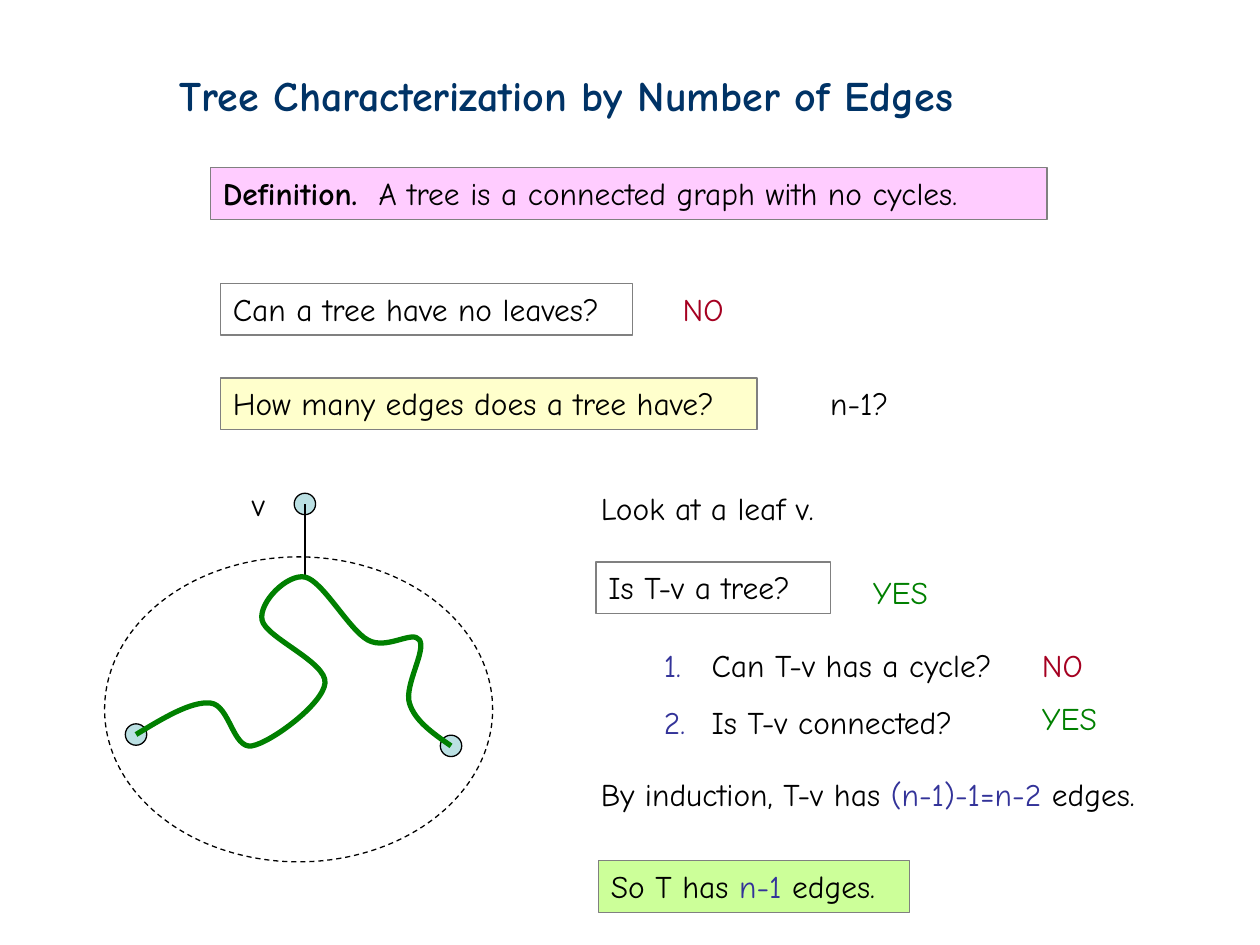
import lxml.etree
import pptx
import pptx.dml.color
import pptx.enum.dml
import pptx.enum.shapes
import pptx.enum.text
import pptx.oxml.ns
import pptx.util

Inches = pptx.util.Inches
Pt = pptx.util.Pt
qn = pptx.oxml.ns.qn
SHAPES = pptx.enum.shapes.MSO_SHAPE

COLORS = {
    "ink": "000000", "title": "003366", "frame": "808080", "pink": "FFCCFF",
    "yellow": "FFFFCC", "lime": "CCFF99", "node": "BBE0E3", "no": "A50021",
    "yes": "008000", "accent": "333399",
}
BODY = {"name": "Comic Neue", "size": Pt(18), "bold": False}
TITLE = {**BODY, "size": Pt(24), "bold": True}
FRAME = {
    "word_wrap": True,
    "auto_size": pptx.enum.text.MSO_AUTO_SIZE.NONE,
    "vertical_anchor": pptx.enum.text.MSO_ANCHOR.TOP,
}
TEXT_HEIGHT = 0.4
PANEL_HEIGHT = 0.41
NODE_SIZE = 0.17
LIST_INDENT = Inches(0.38)

LEAF = (1.59, -0.42)
NEIGHBOUR = (1.59, 0.16)
LEFT_END = (0.25, 1.41)
RIGHT_END = (2.75, 1.5)
TREE_PATH = [
    LEFT_END, (0.84, 1.16), (1.17, 1.5), (1.75, 1), (1.25, 0.5),
    NEIGHBOUR, (2.09, 0.66), (2.5, 0.66), (2.42, 1.16), RIGHT_END,
]


def color(name):
    return pptx.dml.color.RGBColor.from_string(COLORS[name])


def set_values(target, values):
    for key, value in values.items():
        setattr(target, key, value)


def style_shape(shape, fill, line, width=0.75):
    shape.shadow.inherit = False
    if fill:
        shape.fill.solid()
        shape.fill.fore_color.rgb = color(fill)
    else:
        shape.fill.background()
    shape.line.color.rgb = color(line)
    shape.line.width = Pt(width)


def add_shape(page, kind, left, top, width, height, fill, line):
    shape = page.shapes.add_shape(
        kind, *map(Inches, (left, top, width, height)))
    style_shape(shape, fill, line)
    return shape


def add_textbox(page, left, top, width, height):
    box = page.shapes.add_textbox(*map(Inches, (left, top, width, height)))
    set_values(box.text_frame, FRAME)
    return box.text_frame


def add_spans(para, spans, style=BODY):
    para.alignment = pptx.enum.text.PP_ALIGN.LEFT
    for text, ink, bold in spans:
        span = para.add_run()
        span.text = text
        span.font.color.rgb = color(ink)
        set_values(span.font, {**style, "bold": bold})


def add_text(page, left, top, width, text, ink="ink"):
    frame = add_textbox(page, left, top, width, TEXT_HEIGHT)
    add_spans(frame.paragraphs[0], [(text, ink, False)])


def add_panel(page, left, top, width, spans, fill=None):
    panel = add_shape(page, SHAPES.RECTANGLE, left, top, width, PANEL_HEIGHT,
                      fill, "frame")
    set_values(panel.text_frame, FRAME)
    add_spans(panel.text_frame.paragraphs[0], spans)


def number_para(para):
    properties = para._p.get_or_add_pPr()
    properties.set("marL", str(LIST_INDENT))
    properties.set("indent", str(-LIST_INDENT))
    bullet_color = lxml.etree.SubElement(properties, qn("a:buClr"))
    lxml.etree.SubElement(bullet_color, qn("a:srgbClr"), val=COLORS["accent"])
    lxml.etree.SubElement(properties, qn("a:buAutoNum"), type="arabicPeriod")


def add_numbered_list(page, left, top, width, height, items):
    frame = add_textbox(page, left, top, width, height)
    for index, item in enumerate(items):
        para = frame.add_paragraph() if index else frame.paragraphs[0]
        number_para(para)
        if index:
            para.line_spacing = 1.5
        add_spans(para, [(item, "ink", False)])


def midpoint(start, end):
    return tuple((a + b) / 2 for a, b in zip(start, end))


def smooth_points(anchors):
    arriving, leaving = {}, {}
    for index in range(1, len(anchors) - 1):
        before, here, after = anchors[index - 1:index + 2]
        tangent = [(b - a) / 6 for a, b in zip(before, after)]
        arriving[index] = tuple(p - t for p, t in zip(here, tangent))
        leaving[index] = tuple(p + t for p, t in zip(here, tangent))
    last = len(anchors) - 1
    leaving[0] = midpoint(anchors[0], arriving[1])
    arriving[last] = midpoint(leaving[last - 1], anchors[last])
    points = [anchors[0]]
    for index in range(last):
        points += [leaving[index], arriving[index + 1], anchors[index + 1]]
    return points


def add_smooth_curve(page, left, top, anchors):
    start, *rest = [(Inches(left + x), Inches(top + y))
                    for x, y in smooth_points(anchors)]
    builder = page.shapes.build_freeform(*start, scale=1.0)
    builder.add_line_segments(rest, close=False)
    curve = builder.convert_to_shape()
    style_shape(curve, None, "yes", 3)
    segments = list(curve._element.iter(qn("a:lnTo")))
    outline = segments[0].getparent()
    for index in range(0, len(segments), 3):
        bend = lxml.etree.SubElement(outline, qn("a:cubicBezTo"))
        for segment in segments[index:index + 3]:
            bend.append(segment[0])
            outline.remove(segment)


def add_node(page, center_x, center_y):
    add_shape(page, SHAPES.OVAL, center_x - NODE_SIZE / 2,
              center_y - NODE_SIZE / 2, NODE_SIZE, NODE_SIZE, "node", "ink")


def add_edge(page, left, top, start, end):
    ends = (left + start[0], top + start[1], left + end[0], top + end[1])
    edge = page.shapes.add_connector(
        pptx.enum.shapes.MSO_CONNECTOR.STRAIGHT, *map(Inches, ends))
    edge.line.color.rgb = color("ink")
    edge.line.width = Pt(0.75)
    lxml.etree.SubElement(edge._element.spPr, qn("a:effectLst"))


def add_header(page, left, top):
    title = add_textbox(page, left, top, 7.25, 0.5)
    add_spans(title.paragraphs[0],
              [("Tree Characterization by Number of Edges", "title", True)],
              TITLE)
    add_panel(page, left + 0.34, top + 0.83, 6.64, [
        ("Definition.", "ink", True),
        ("  A tree is a connected graph with no cycles.", "ink", False),
    ], "pink")


def add_questions(page, left, top):
    rows = [
        ("Can a tree have no leaves?", 3.27, None, "NO", 3.57, 0.6, "no"),
        ("How many edges does a tree have?", 4.26, "yellow",
         "n-1?", 4.74, 0.68, "ink"),
    ]
    for index, row in enumerate(rows):
        question, width, fill, answer, answer_x, answer_width, ink = row
        row_top = top + 0.75 * index
        add_panel(page, left, row_top, width, [(question, "ink", False)], fill)
        add_text(page, left + answer_x, row_top, answer_width, answer, ink)


def add_tree(page, left, top):
    outline = add_shape(page, SHAPES.OVAL, left, top, 3.08, 2.42, None, "ink")
    outline.line.dash_style = pptx.enum.dml.MSO_LINE.DASH
    for x, y in (LEAF, LEFT_END, RIGHT_END):
        add_node(page, left + x, top + y)
    add_edge(page, left, top, LEAF, NEIGHBOUR)
    add_smooth_curve(page, left, top, TREE_PATH)
    add_text(page, left + 1.07, top - 0.62, 0.32, "v")


def add_argument(page, left, top):
    add_text(page, left, top, 2.06, "Look at a leaf v.")
    add_panel(page, left + 0.06, top + 0.63, 1.86,
              [("Is T-v a tree?", "ink", False)])
    add_numbered_list(page, left + 0.5, top + 1.25, 2.93, 0.85,
                      ["Can T-v has a cycle?", "Is T-v connected?"])
    for x, y, answer in ((2.16, 0.67, "YES"), (3.5, 1.25, "NO"),
                         (3.5, 1.67, "YES")):
        add_text(page, left + x, top + y, 0.69, answer, answer.lower())
    induction = add_textbox(page, left, top + 2.27, 4.78, TEXT_HEIGHT)
    add_spans(induction.paragraphs[0], [
        ("By induction, T-v has ", "ink", False),
        ("(n-1)-1=n-2", "accent", False), (" edges.", "ink", False)])
    add_panel(page, left + 0.08, top + 3, 2.47, [
        ("So T has ", "ink", False), ("n-1 ", "accent", False),
        ("edges.", "ink", False)], "lime")


def main():
    deck = pptx.Presentation()
    deck.slide_width, deck.slide_height = Inches(10), Inches(7.5)
    page = deck.slides.add_slide(deck.slide_layouts[6])
    add_header(page, 1.33, 0.5)
    add_questions(page, 1.75, 2.25)
    add_tree(page, 0.83, 4.42)
    add_argument(page, 4.67, 3.83)
    deck.save("out.pptx")


if __name__ == "__main__":
    main()
